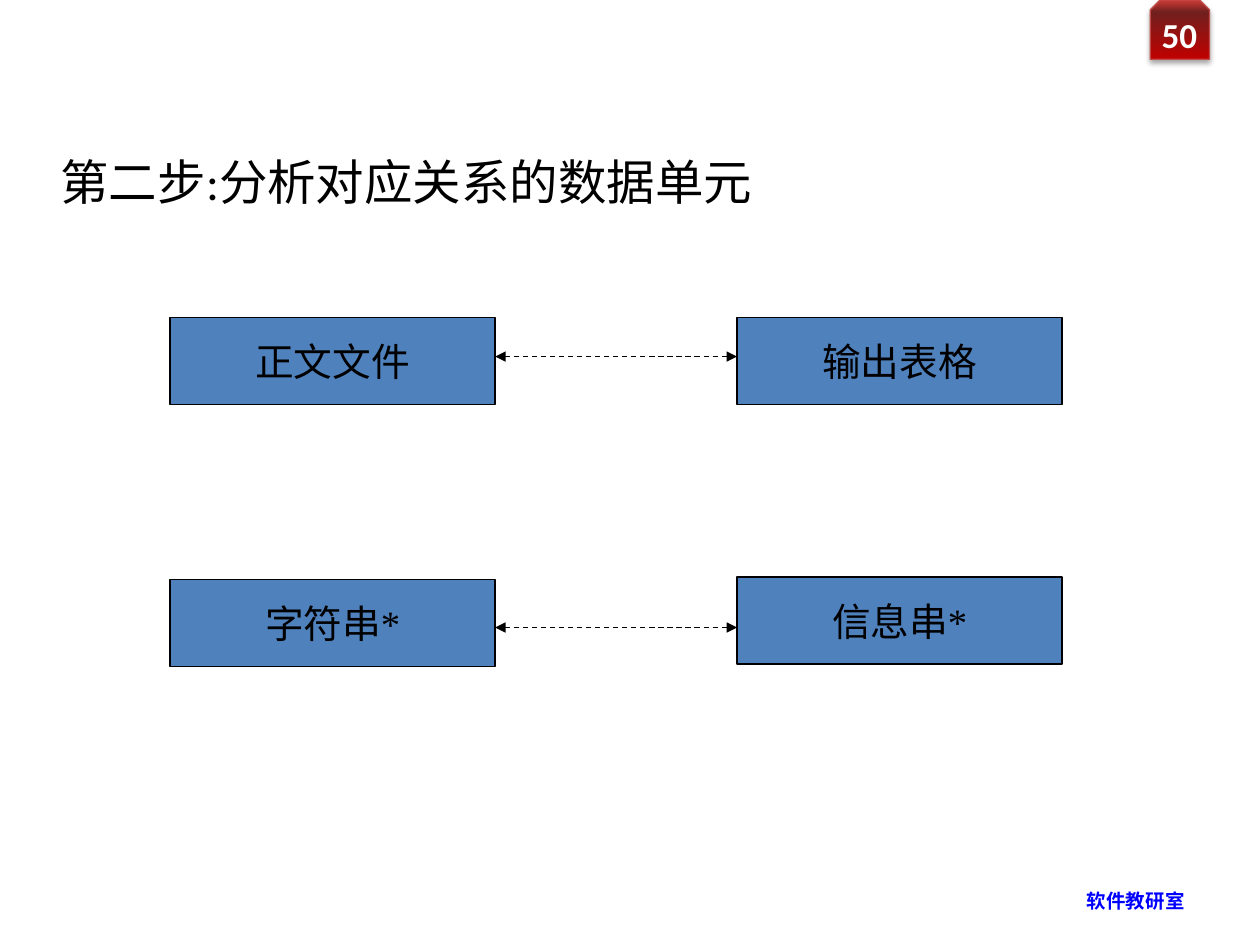
from lxml import etree
from pptx import Presentation
from pptx.dml.color import RGBColor
from pptx.enum import dml, shapes, text
from pptx.oxml import parse_xml
from pptx.oxml.ns import nsdecls, qn
from pptx.util import Inches, Pt

BLACK = RGBColor(0x00, 0x00, 0x00)
WHITE = RGBColor(0xFF, 0xFF, 0xFF)
BOX_BLUE = RGBColor(0x4F, 0x81, 0xBD)
FOOTER_BLUE = RGBColor(0x00, 0x00, 0xFF)
BADGE_EDGE = RGBColor(0xBF, 0x4C, 0x48)
BADGE_STOPS = [(0, "C00000"), (80, "70201E"), (100, "CE3B37")]

BOX_WIDTH, BOX_HEIGHT = 2.58, 0.69
LEFT_COLUMN, RIGHT_COLUMN = 1.35, 5.85
# Left label, its top, right label, its top, arrow height
PAIRS = [
    ("正文文件", 2.52, "输出表格", 2.52, 2.83),
    ("字符串*", 4.6, "信息串*", 4.58, 4.98),
]


def write(para, words, size, font, color, bold=False):
    span = para.add_run()
    span.text = words
    span.font.size = Pt(size)
    span.font.name = font
    span.font.bold = bold
    span.font.color.rgb = color


def place(shape, left, top, width, height):
    shape.left, shape.top = Inches(left), Inches(top)
    shape.width, shape.height = Inches(width), Inches(height)


def set_title(page, words):
    title = page.shapes.title
    place(title, 0.38, 1.21, 8.92, 0.54)
    frame = title.text_frame
    frame.auto_size = text.MSO_AUTO_SIZE.NONE
    frame.vertical_anchor = text.MSO_ANCHOR.TOP
    para = frame.paragraphs[0]
    para.alignment = text.PP_ALIGN.LEFT
    para.line_spacing = 0.9
    para.space_before = Pt(5.5)
    write(para, words, 27.7, "Calibri", BLACK)


def add_badge(page):
    """Draw the red tab that sits behind the page number."""
    badge = page.shapes.add_shape(
        shapes.MSO_SHAPE.SNIP_2_SAME_RECTANGLE,
        Inches(9.13), Inches(0), Inches(0.47), Inches(0.47))
    badge.line.color.rgb = BADGE_EDGE
    badge.line.width = Pt(0.75)
    badge.shadow.inherit = False
    stops = "".join(
        f'<a:gs pos="{position * 1000}"><a:srgbClr val="{color}"/></a:gs>'
        for position, color in BADGE_STOPS)
    gradient = parse_xml(
        f'<a:gradFill {nsdecls("a")} rotWithShape="1"><a:gsLst>{stops}</a:gsLst>'
        '<a:lin ang="16200000" scaled="0"/></a:gradFill>')
    properties = badge.element.spPr
    properties.find(qn("a:prstGeom")).addnext(gradient)
    properties.find(qn("a:effectLst")).append(parse_xml(
        f'<a:outerShdw {nsdecls("a")} blurRad="{Pt(3.1)}" dist="{Pt(1.8)}" '
        'dir="5400000" rotWithShape="0"><a:srgbClr val="000000">'
        '<a:alpha val="35000"/></a:srgbClr></a:outerShdw>'))


def add_right_label(page, words, area, size, color):
    box = page.shapes.add_textbox(*(Inches(length) for length in area))
    frame = box.text_frame
    frame.word_wrap = True
    frame.vertical_anchor = text.MSO_ANCHOR.MIDDLE
    para = frame.paragraphs[0]
    para.alignment = text.PP_ALIGN.RIGHT
    write(para, words, size, "Calibri", color, bold=True)


def add_data_box(page, words, left, top):
    box = page.shapes.add_shape(
        shapes.MSO_SHAPE.RECTANGLE,
        Inches(left), Inches(top), Inches(BOX_WIDTH), Inches(BOX_HEIGHT))
    box.shadow.inherit = False
    box.fill.solid()
    box.fill.fore_color.rgb = BOX_BLUE
    box.line.color.rgb = BLACK
    box.line.width = Pt(0.75)
    frame = box.text_frame
    frame.word_wrap = False
    frame.vertical_anchor = text.MSO_ANCHOR.MIDDLE
    para = frame.paragraphs[0]
    para.alignment = text.PP_ALIGN.CENTER
    write(para, words, 22.1, "Times New Roman", BLACK)


def add_double_arrow(page, height):
    arrow = page.shapes.add_connector(
        shapes.MSO_CONNECTOR.STRAIGHT,
        Inches(LEFT_COLUMN + BOX_WIDTH), Inches(height),
        Inches(RIGHT_COLUMN), Inches(height))
    arrow.line.color.rgb = BLACK
    arrow.line.width = Pt(0.75)
    arrow.line.dash_style = dml.MSO_LINE.DASH
    outline = arrow.line._get_or_add_ln()
    for end in ("a:headEnd", "a:tailEnd"):
        etree.SubElement(outline, qn(end), type="triangle")
    etree.SubElement(arrow.element.spPr, qn("a:effectLst"))


def main():
    deck = Presentation()
    deck.slide_width, deck.slide_height = Inches(10), Inches(7.5)
    page = deck.slides.add_slide(deck.slide_layouts[5])

    add_badge(page)
    add_right_label(page, "50", (8.97, 0.07, 0.63, 0.4), 20, WHITE)
    add_right_label(page, "软件教研室", (7.17, 6.95, 2.33, 0.4), 11.1, FOOTER_BLUE)
    set_title(page, "第二步:分析对应关系的数据单元")

    for source, source_top, result, result_top, arrow_height in PAIRS:
        add_data_box(page, source, LEFT_COLUMN, source_top)
        add_data_box(page, result, RIGHT_COLUMN, result_top)
        add_double_arrow(page, arrow_height)

    deck.save("out.pptx")


if __name__ == "__main__":
    main()
